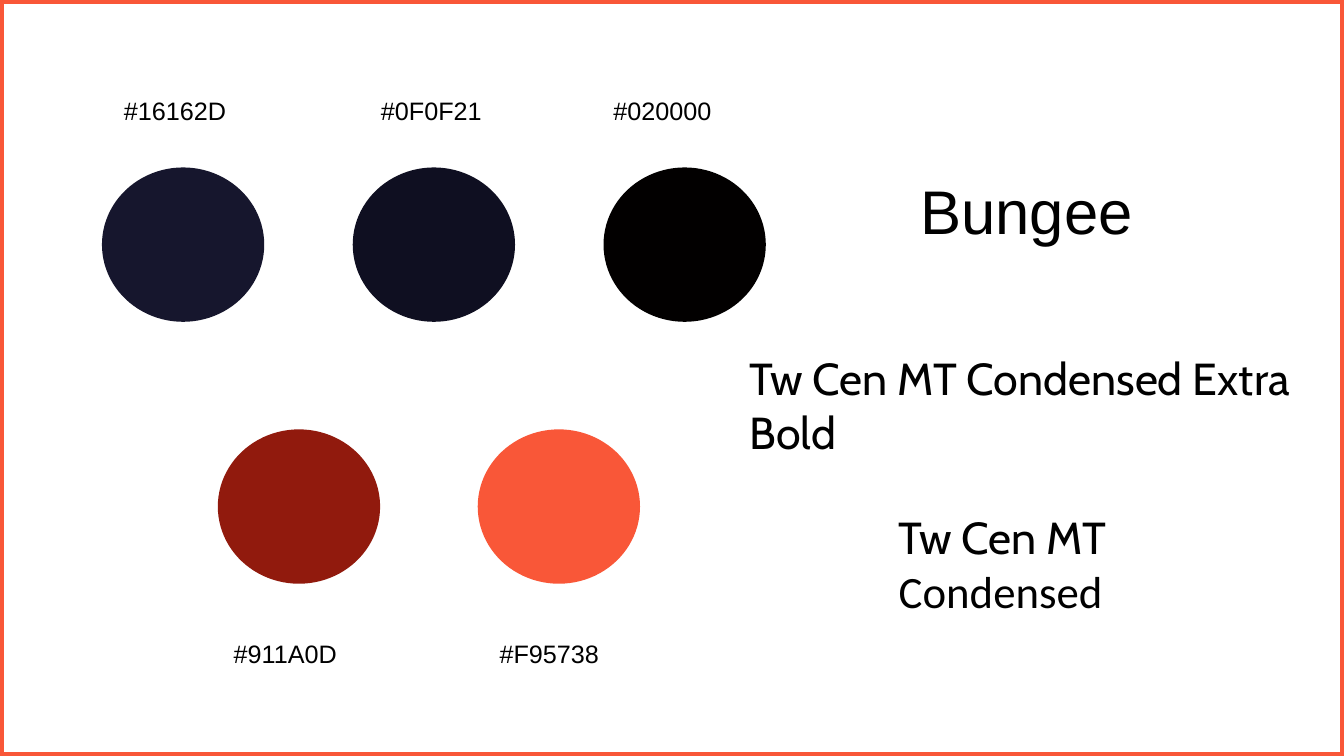
from dataclasses import dataclass

from pptx import Presentation
from pptx.dml.color import RGBColor
from pptx.enum.shapes import MSO_SHAPE as Preset
from pptx.enum.text import MSO_ANCHOR as Anchor, MSO_AUTO_SIZE as AutoSize, PP_ALIGN as Align
from pptx.util import Cm, Pt

PAGE_WIDTH, PAGE_HEIGHT = 33.87, 19.05
SWATCH_WIDTH, SWATCH_HEIGHT = 4.09, 3.89
LABEL_HEIGHT = 1.02
BLACK, ORANGE = "000000", "F95738"


@dataclass
class Swatch:
    colour: str
    label_left: float
    label_width: float


@dataclass
class SwatchRow:
    left: float
    top: float
    step: float
    label_top: float
    swatches: list[Swatch]


@dataclass
class Span:
    text: str
    font: str


@dataclass
class Sample:
    left: float
    top: float
    width: float
    height: float
    size: int
    spans: list[Span]


ROWS = [
    SwatchRow(2.57, 4.22, 6.32, 2.29, [
        Swatch("16162D", 2.87, 4.09),
        Swatch("0F0F21", 9.35, 6.07),
        Swatch("020000", 15.21, 6.86),
    ]),
    SwatchRow(5.49, 10.82, 6.55, 15.95, [
        Swatch("911A0D", 5.64, 5.21),
        Swatch(ORANGE, 12.34, 4.9),
    ]),
]
TITLE = Sample(22.94, 4.22, 8.66, 2.13, 44, [Span("Bungee", "Arial")])
FONT_SAMPLES = [
    Sample(18.64, 8.71, 14.86, 1.63, 32, [Span("Tw Cen MT Condensed Extra Bold", "Cabin")]),
    Sample(22.4, 12.73, 9.73, 1.63, 32, [Span("Tw Cen MT", "Cabin"), Span(" Condensed", "Calibri")]),
]


def rgb(colour: str) -> RGBColor:
    return RGBColor.from_string(colour)


def write_sample(box, sample: Sample) -> None:
    """Place a text box or placeholder and fill it with the sample's spans."""
    box.left, box.top = Cm(sample.left), Cm(sample.top)
    box.width, box.height = Cm(sample.width), Cm(sample.height)
    frame = box.text_frame
    frame.word_wrap = True
    frame.auto_size = AutoSize.SHAPE_TO_FIT_TEXT
    frame.vertical_anchor = Anchor.TOP
    para = frame.paragraphs[0]
    para.alignment = Align.LEFT
    para.font.size = Pt(sample.size)
    para.font.color.rgb = rgb(BLACK)
    para.font.name = sample.spans[0].font
    for part in sample.spans:
        span = para.add_run()
        span.text = part.text
        if part.font != para.font.name:
            span.font.name = part.font


def add_text(page, sample: Sample) -> None:
    box = page.shapes.add_textbox(0, 0, Cm(sample.width), Cm(sample.height))
    write_sample(box, sample)


def add_swatch_row(page, row: SwatchRow) -> None:
    for index, swatch in enumerate(row.swatches):
        circle = page.shapes.add_shape(
            Preset.OVAL, Cm(row.left + index * row.step), Cm(row.top),
            Cm(SWATCH_WIDTH), Cm(SWATCH_HEIGHT))
        circle.shadow.inherit = False
        circle.fill.solid()
        circle.fill.fore_color.rgb = rgb(swatch.colour)
        circle.line.fill.background()
        add_text(page, Sample(swatch.label_left, row.label_top, swatch.label_width,
                              LABEL_HEIGHT, 18, [Span(f"#{swatch.colour}", "Arial")]))


def add_border(page) -> None:
    border = page.shapes.add_shape(Preset.RECTANGLE, 0, 0, Cm(PAGE_WIDTH), Cm(PAGE_HEIGHT))
    border.shadow.inherit = False
    border.fill.background()
    border.line.color.rgb = rgb(ORANGE)
    border.line.width = Pt(6)


def main() -> None:
    deck = Presentation()
    deck.slide_width, deck.slide_height = Cm(PAGE_WIDTH), Cm(PAGE_HEIGHT)
    page = deck.slides.add_slide(deck.slide_layouts[5])

    # Colour palette
    for row in ROWS:
        add_swatch_row(page, row)

    # Page border
    add_border(page)

    # Typefaces
    write_sample(page.shapes.title, TITLE)
    for sample in FONT_SAMPLES:
        add_text(page, sample)

    deck.save("out.pptx")


if __name__ == "__main__":
    main()
